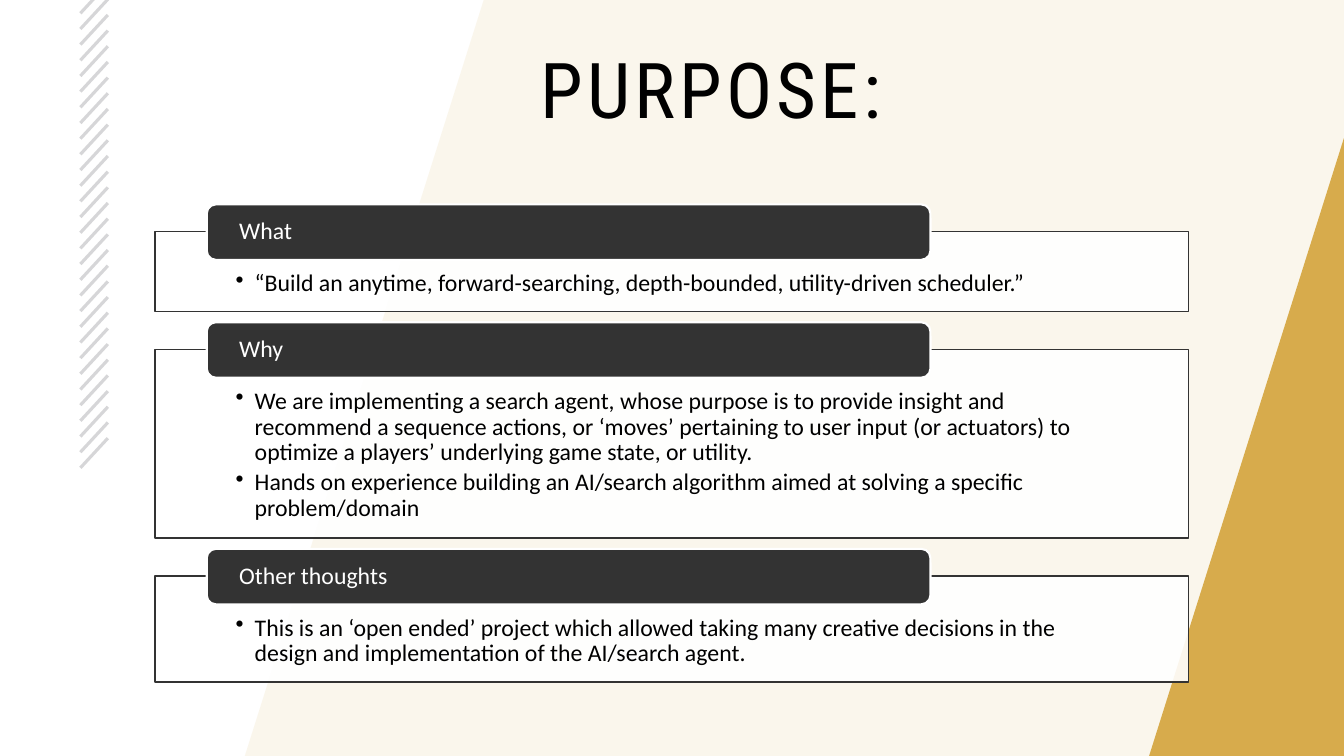
from lxml import etree
from pptx import Presentation
from pptx.dml.color import RGBColor
from pptx.enum.shapes import MSO_SHAPE
from pptx.enum.text import MSO_ANCHOR, PP_ALIGN
from pptx.oxml.ns import qn
from pptx.util import Cm, Pt

RECT, ROUND, TRIANGLE = MSO_SHAPE.RECTANGLE, MSO_SHAPE.ROUNDED_RECTANGLE, MSO_SHAPE.RIGHT_TRIANGLE
TOP, MIDDLE = MSO_ANCHOR.TOP, MSO_ANCHOR.MIDDLE
LEFT, CENTER = PP_ALIGN.LEFT, PP_ALIGN.CENTER

GOLD = RGBColor(0xD7, 0xAB, 0x4C)
SLATE = RGBColor(0x33, 0x33, 0x3D)
CHARCOAL = RGBColor(0x33, 0x33, 0x33)
BLACK = RGBColor(0, 0, 0)
WHITE = RGBColor(0xFF, 0xFF, 0xFF)

WIDTH, HEIGHT = 33.87, 19.05
BODY_GAP = 0.96
LABEL_RISE = 0.69

TITLE_FRAME = {"word_wrap": True, "vertical_anchor": TOP}
BODY_FRAME = {"word_wrap": True, "vertical_anchor": TOP, "margin_left": Cm(2.03),
              "margin_right": Cm(2.03), "margin_top": Cm(0.99), "margin_bottom": Cm(0.33)}
LABEL_FRAME = {"word_wrap": True, "vertical_anchor": MIDDLE, "margin_left": Cm(0.75),
               "margin_right": Cm(0.75), "margin_top": 0, "margin_bottom": 0}
TITLE_FONT = {"name": "Roboto Condensed", "size": Pt(55)}
TEXT_FONT = {"name": "Calibri", "size": Pt(17)}

SECTIONS = [
    ("What", 2.01, [
        "“Build an anytime, forward-searching, depth-bounded, utility-driven scheduler.”"]),
    ("Why", 4.75, [
        "We are implementing a search agent, whose purpose is to provide insight and recommend "
        "a sequence actions, or ‘moves’ pertaining to user input (or actuators) to optimize a "
        "players’ underlying game state, or utility.",
        "Hands on experience building an AI/search algorithm aimed at solving a specific "
        "problem/domain"]),
    ("Other thoughts", 2.67, [
        "This is an ‘open ended’ project which allowed taking many creative decisions in the "
        "design and implementation of the AI/search agent."]),
]


def paint(s, fill, alpha=100, line=None, weight=1):
    s.shadow.inherit = False
    s.fill.solid()
    s.fill.fore_color.rgb = fill
    if alpha < 100:
        color = s.element.spPr.find(qn("a:solidFill"))[0]
        etree.SubElement(color, qn("a:alpha"), val=str(alpha * 1000))
    if line is None:
        s.line.fill.background()
    else:
        s.line.color.rgb = line
        s.line.width = Pt(weight)


def write(s, texts, frame, font, color, align=LEFT, bullet=False):
    tf = s.text_frame
    for key, value in frame.items():
        setattr(tf, key, value)
    for i, text in enumerate(texts):
        p = tf.paragraphs[0] if i == 0 else tf.add_paragraph()
        p.alignment = align
        p.line_spacing = 0.9
        r = p.add_run()
        r.text = text
        for key, value in font.items():
            setattr(r.font, key, value)
        r.font.color.rgb = color
        if bullet:
            p.space_after = Pt(3)
            pPr = p._p.get_or_add_pPr()
            pPr.set("marL", str(Cm(0.48)))
            pPr.set("indent", str(Cm(-0.48)))
            etree.SubElement(pPr, qn("a:buChar"), char="•")


prs = Presentation()
prs.slide_width, prs.slide_height = Cm(WIDTH), Cm(HEIGHT)
slide = prs.slides.add_slide(prs.slide_layouts[6])
shapes = slide.shapes

builder = shapes.build_freeform(Cm(12.19), 0)
builder.add_line_segments([(Cm(WIDTH), 0), (Cm(WIDTH), Cm(HEIGHT)), (Cm(6.17), Cm(HEIGHT))])
paint(builder.convert_to_shape(), GOLD, alpha=10)

corner = shapes.add_shape(TRIANGLE, Cm(28.96), Cm(3.48), Cm(4.91), Cm(15.57))
corner.element.spPr.find(qn("a:xfrm")).set("flipH", "1")
paint(corner, GOLD)

for i in range(30):
    dash = shapes.add_shape(RECT, Cm(1.86), Cm(-0.08 + 0.395 * i), Cm(1.02), Cm(0.08))
    dash.rotation = 132.8
    paint(dash, SLATE, alpha=20)

title = shapes.add_textbox(Cm(3.91), Cm(1.19), Cm(28.02), Cm(4.27))
write(title, ["PURPOSE:"], TITLE_FRAME, TITLE_FONT, BLACK, CENTER)
title.text_frame.paragraphs[0].runs[0].font._element.set("spc", "300")

top = 5.84
for heading, height, points in SECTIONS:
    body = shapes.add_shape(RECT, Cm(3.91), Cm(top), Cm(26.04), Cm(height))
    paint(body, WHITE, alpha=90, line=CHARCOAL)
    write(body, points, BODY_FRAME, TEXT_FONT, BLACK, bullet=True)
    label = shapes.add_shape(ROUND, Cm(5.21), Cm(top - LABEL_RISE), Cm(18.24), Cm(1.4))
    paint(label, CHARCOAL, line=WHITE, weight=1.5)
    write(label, [heading], LABEL_FRAME, TEXT_FONT, WHITE)
    top += height + BODY_GAP

prs.save("out.pptx")
